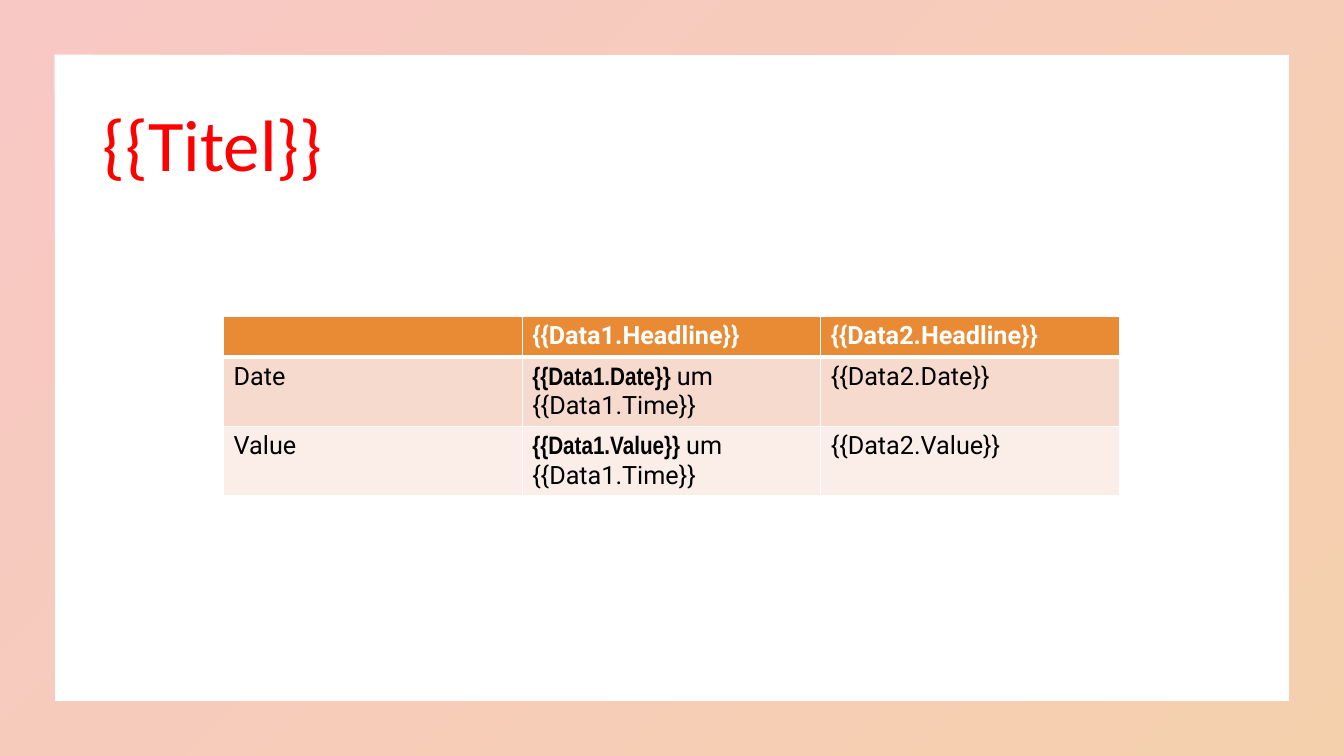
from dataclasses import dataclass

from lxml import etree
from pptx import Presentation
from pptx import util as u
from pptx.dml.color import RGBColor
from pptx.enum import shapes, text
from pptx.oxml.ns import qn
from pptx.table import _Cell as Cell

PX = 9525
WIDTH, HEIGHT = 1280, 720
RED = RGBColor(0xFF, 0x00, 0x00)
BLACK = RGBColor(0x00, 0x00, 0x00)
WHITE = RGBColor(0xFF, 0xFF, 0xFF)
CORAL = RGBColor(0xEE, 0x76, 0x6E)
ORANGE = RGBColor(0xE8, 0x8B, 0x34)
PEACH = RGBColor(0xF6, 0xDA, 0xCE)
BLUSH = RGBColor(0xFB, 0xEE, 0xE8)


@dataclass
class Row:
    cells: list[str]
    fill: RGBColor
    color: RGBColor = BLACK
    bold: bool = False
    top: int = 1
    bottom: int = 1


ROWS = [
    Row(["", "{{Data1.Headline}}", "{{Data2.Headline}}"], ORANGE, WHITE, True, bottom=3),
    Row(["Date", "{{Data1.Date}} |um {{Data1.Time}}", "{{Data2.Date}}"], PEACH, top=3),
    Row(["Value", "{{Data1.Value}} |um {{Data1.Time}}", "{{Data2.Value}}"], BLUSH),
]


def px(*lengths: int) -> list[int]:
    return [u.Emu(length * PX) for length in lengths]


def add_frame(slide) -> None:
    sp = slide.shapes.add_shape(shapes.MSO_SHAPE.FRAME, *px(0, 0, WIDTH, HEIGHT))
    sp.shadow.inherit = False
    sp.adjustments[0] = 0.072
    sp.line.fill.background()
    sp.fill.gradient()
    sp.fill.gradient_angle = 315
    for stop, color in zip(sp.fill.gradient_stops, (CORAL, ORANGE)):
        stop.color.rgb = color
    for clr in sp._element.spPr.iter(qn("a:srgbClr")):
        etree.SubElement(clr, qn("a:alpha"), val="40000")
    slide.shapes.title._element.addprevious(sp._element)


def format_title(slide) -> None:
    title = slide.shapes.title
    title.left, title.top, title.width, title.height = px(88, 71, 1104, 139)
    tf = title.text_frame
    tf.text = "{{Titel}}"
    tf.auto_size = text.MSO_AUTO_SIZE.NONE
    tf.vertical_anchor = text.MSO_ANCHOR.MIDDLE
    p = tf.paragraphs[0]
    p.alignment = text.PP_ALIGN.LEFT
    p.line_spacing = 0.9
    p.font.name, p.font.size = "Calibri", u.Pt(52)
    p.font.color.rgb = RED


def set_borders(cell: Cell, top: int, bottom: int) -> None:
    tc_pr = cell._tc.get_or_add_tcPr()
    widths = {"a:lnL": 1, "a:lnR": 1, "a:lnT": top, "a:lnB": bottom}
    for i, (tag, width) in enumerate(widths.items()):
        ln = etree.Element(qn(tag), w=str(u.Pt(width)))
        fill = etree.SubElement(ln, qn("a:solidFill"))
        etree.SubElement(fill, qn("a:srgbClr"), val=str(WHITE))
        tc_pr.insert(i, ln)


def fill_cell(cell: Cell, content: str, row: Row) -> None:
    """Write the content; a part before a bar is set bold and narrow."""
    cell.fill.solid()
    cell.fill.fore_color.rgb = row.fill
    set_borders(cell, row.top, row.bottom)
    p = cell.text_frame.paragraphs[0]
    p.font.name, p.font.size = "Roboto", u.Pt(18)
    p.font.bold = row.bold
    p.font.color.rgb = row.color
    lead, bar, rest = content.rpartition("|")
    if bar:
        r = p.add_run()
        r.text = lead
        r.font.name, r.font.bold = "Arial Narrow", True
    if rest:
        p.add_run().text = rest


def add_data_table(slide) -> None:
    shape = slide.shapes.add_table(len(ROWS), 3, *px(213, 301, 853, 117))
    for table_row, row in zip(shape.table.rows, ROWS):
        for cell, content in zip(table_row.cells, row.cells):
            fill_cell(cell, content, row)


def main() -> None:
    prs = Presentation()
    prs.slide_width, prs.slide_height = px(WIDTH, HEIGHT)
    slide = prs.slides.add_slide(prs.slide_layouts[5])
    add_frame(slide)
    format_title(slide)
    add_data_table(slide)
    prs.save("out.pptx")


if __name__ == "__main__":
    main()
